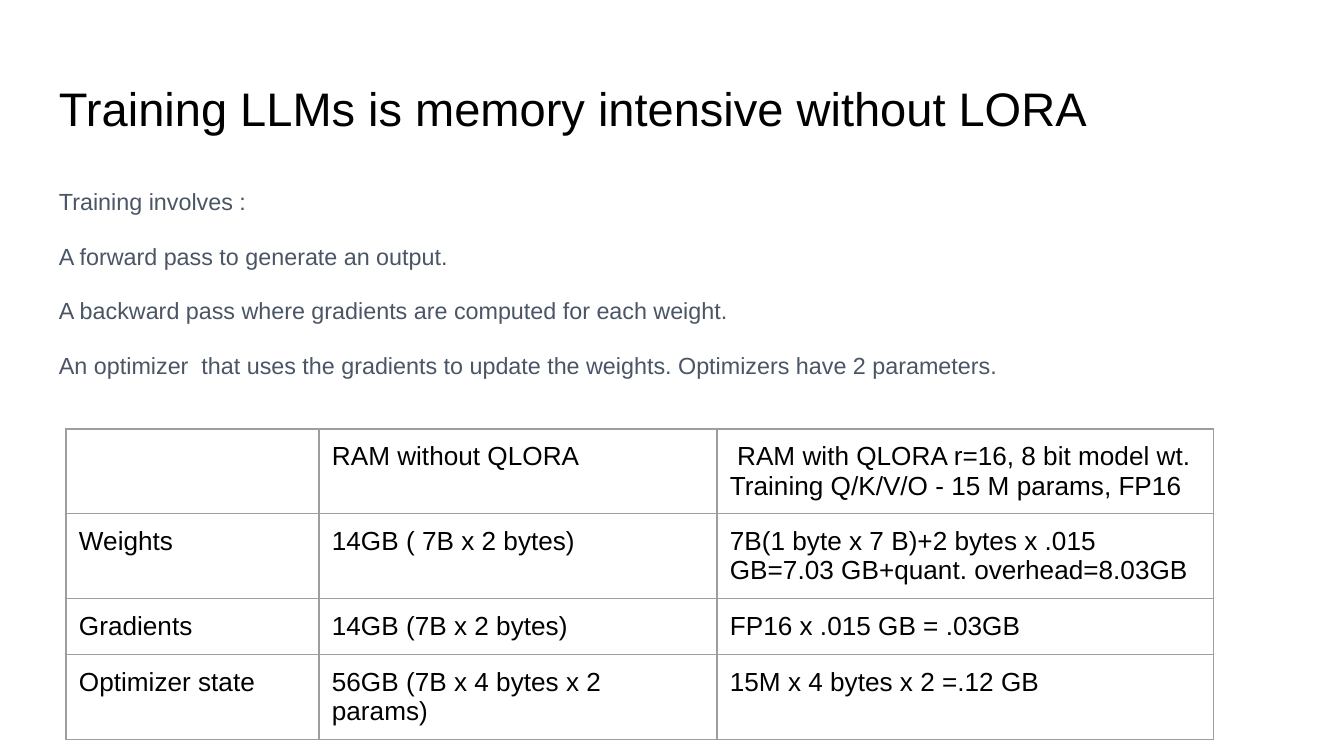
from lxml.etree import SubElement
from pptx import Presentation
from pptx.dml.color import RGBColor
from pptx.enum.text import MSO_ANCHOR, MSO_AUTO_SIZE, PP_ALIGN
from pptx.oxml.ns import qn
from pptx.util import Emu, Pt

BLACK = RGBColor(0x00, 0x00, 0x00)
SLATE = RGBColor(0x4A, 0x55, 0x65)
GRAY = RGBColor(0x9E, 0x9E, 0x9E)
EMU_PER_PX = 914400 / 134.4

STEPS = [
    "Training involves :",
    "A forward pass to generate an output.",
    "A backward pass where gradients are computed for each weight.",
    "An optimizer  that uses the gradients to update the weights. Optimizers have 2 parameters.",
]
MEMORY_ROWS = [
    ("", "RAM without QLORA",
     " RAM with QLORA r=16, 8 bit model wt.\nTraining Q/K/V/O - 15 M params, FP16"),
    ("Weights", "14GB ( 7B x 2 bytes)",
     "7B(1 byte x 7 B)+2 bytes x .015 GB=7.03 GB+quant. overhead=8.03GB"),
    ("Gradients", "14GB (7B x 2 bytes)", "FP16 x .015 GB = .03GB"),
    ("Optimizer state", "56GB (7B x 4 bytes x 2 params)", "15M x 4 bytes x 2 =.12 GB"),
]


def px(length):
    return Emu(round(length * EMU_PER_PX))


class SlideBuilder:
    font = "Arial"
    inset = 13

    def __init__(self, slide):
        self.slide = slide

    def style(self, paragraphs, size, color):
        for paragraph in paragraphs:
            paragraph.alignment = PP_ALIGN.LEFT
            for run in paragraph.runs:
                run.font.name = self.font
                run.font.size = Pt(size)
                run.font.color.rgb = color

    def pad(self, holder):
        holder.margin_left = holder.margin_right = px(self.inset)
        holder.margin_top = holder.margin_bottom = px(self.inset)

    def place(self, placeholder, box, text, size, color, anchor):
        placeholder.left, placeholder.top, placeholder.width, placeholder.height = map(px, box)
        frame = placeholder.text_frame
        frame.text = text
        frame.auto_size = MSO_AUTO_SIZE.NONE
        frame.word_wrap = True
        frame.vertical_anchor = anchor
        self.pad(frame)
        self.style(frame.paragraphs, size, color)
        return frame.paragraphs

    def title(self, text, box):
        self.place(self.slide.shapes.title, box, text, 25.2, BLACK, MSO_ANCHOR.MIDDLE)

    def body(self, lines, box):
        paragraphs = self.place(self.slide.placeholders[1], box, "\n".join(lines),
                                12.5, SLATE, MSO_ANCHOR.TOP)
        for index, paragraph in enumerate(paragraphs):
            paragraph.line_spacing = 1.15
            paragraph.space_before = Pt(12 if index else 0)
            properties = paragraph._p.get_or_add_pPr()
            properties.set("marL", "0")
            properties.set("indent", "0")
            SubElement(properties, qn("a:buNone"))
        paragraphs[-1].space_after = Pt(12)

    def border(self, cell):
        properties = cell._tc.get_or_add_tcPr()
        for side in ("a:lnL", "a:lnR", "a:lnT", "a:lnB"):
            line = SubElement(properties, qn(side), w=str(Pt(0.75)))
            fill = SubElement(line, qn("a:solidFill"))
            SubElement(fill, qn("a:srgbClr"), val=str(GRAY))

    def table(self, rows, left, top, widths, heights):
        grid = self.slide.shapes.add_table(len(rows), len(widths), px(left), px(top),
                                           px(sum(widths)), px(sum(heights))).table
        grid.first_row = grid.horz_banding = False
        for column, width in zip(grid.columns, widths):
            column.width = px(width)
        for row, height, texts in zip(grid.rows, heights, rows):
            row.height = px(height)
            for cell, text in zip(row.cells, texts):
                cell.text_frame.text = text
                self.pad(cell)
                self.border(cell)
                cell.fill.background()
                self.style(cell.text_frame.paragraphs, 14, BLACK)


def main():
    deck = Presentation()
    deck.slide_width, deck.slide_height = px(1344), px(756)
    builder = SlideBuilder(deck.slides.add_slide(deck.slide_layouts[1]))
    builder.title("Training LLMs is memory intensive without LORA", (46, 66, 1252, 84))
    builder.body(STEPS, (46, 170, 1187, 248))
    builder.table(MEMORY_ROWS, 66, 429, (253, 398, 497), (59, 56, 56, 56))
    deck.save("out.pptx")


if __name__ == "__main__":
    main()
